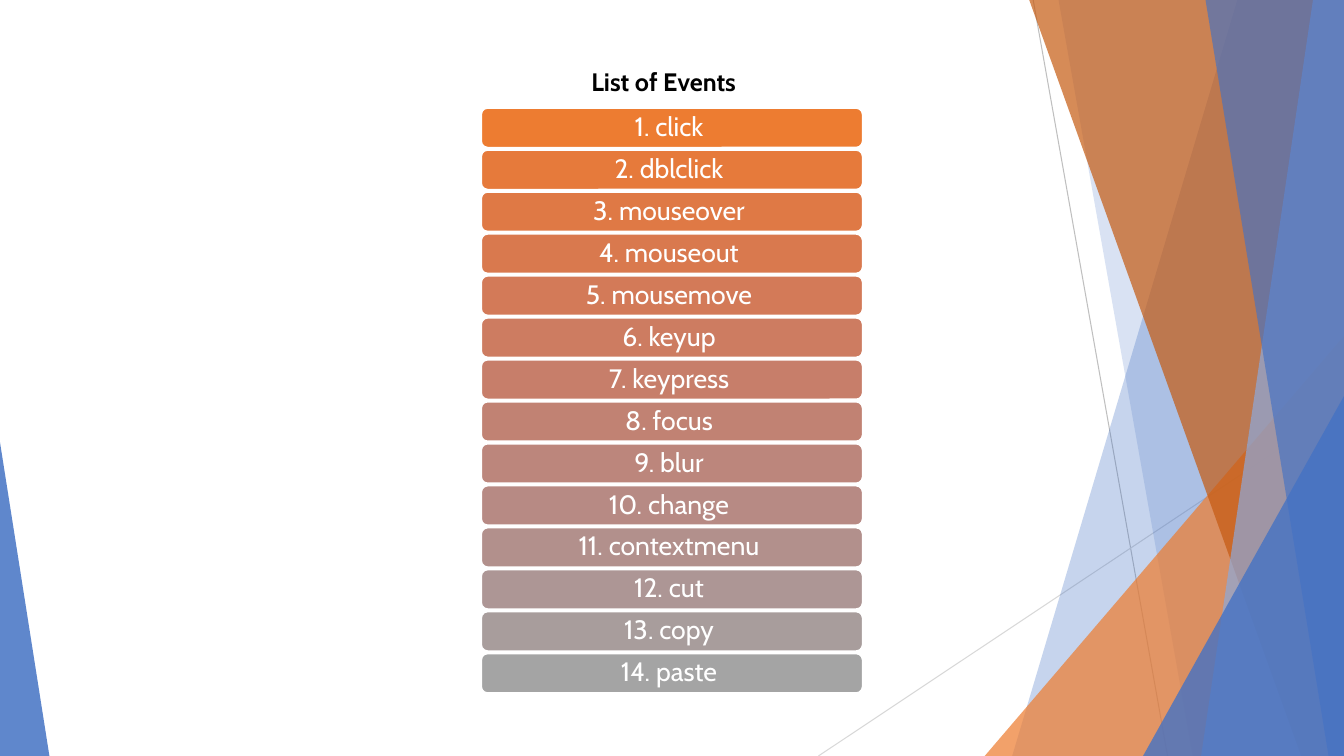
from colorsys import hls_to_rgb

from lxml import etree
from pptx import Presentation
from pptx.dml.color import RGBColor
from pptx.enum.shapes import MSO_CONNECTOR as CONN, MSO_SHAPE as SHAPE
from pptx.enum.text import MSO_ANCHOR as ANCHOR, PP_ALIGN as ALIGN
from pptx.oxml.ns import qn
from pptx.util import Pt

# Content
TITLE = "List of Events"
EVENTS = ["click", "dblclick", "mouseover", "mouseout", "mousemove", "keyup",
          "keypress", "focus", "blur", "change", "contextmenu", "cut", "copy",
          "paste"]

W, H = 960, 540
FONT = "Cabin"
COLORS = {"white": "FFFFFF", "black": "000000", "blue": "4472C4",
          "light blue": "8DA9DB", "orange": "ED7D31", "rust": "C55A11",
          "gray": "BFBFBF", "pale gray": "D8D8D8"}

# Background: x1, y1, x2, y2, colour
RAYS = [(738, 0, 834, H, "gray"), (W, 290, 584.6, H, "pale gray")]

# Background, back to front; bands run from the slanted edge to the right side
# band: top x, bottom x; triangle: left, top, width, apex position
FACETS = [("band", (884, 723), "blue", 30),
          ("band", (756, 852), "blue", 20),
          ("triangle", (703.4, 240, 256.6, 1), "orange", 72),
          ("band", (735, 929.5), "rust", 70),
          ("band", (938, 858), "light blue", 70),
          ("band", (861, 949), "blue", 65),
          ("triangle", (816.5, 283, 143.5, 1), "blue", 80),
          ("triangle", (0, 316, 35.3, 0), "blue", 85)]

# Event bars, fading from saturated orange to gray
BAR = {"left": 343.6, "top": 77, "width": 272.8, "height": 28.6, "pitch": 29.97}
HUE, SATURATION, LIGHTNESS = (0.067, 0), (0.84, 0), (0.56, 0.643)


def rgb(name):
    return RGBColor.from_string(COLORS[name])


def blend(ends, t):
    return ends[0] + (ends[1] - ends[0]) * t


def set_all(obj, values):
    for name, value in values.items():
        setattr(obj, name, value)


def write(sp, text, frame, para, size, color, bold=False):
    tf = sp.text_frame
    set_all(tf, frame)
    p = tf.paragraphs[0]
    set_all(p, para)
    r = p.add_run()
    r.text = text
    set_all(r.font, {"name": FONT, "size": Pt(size), "bold": bold})
    r.font.color.rgb = rgb(color)


def add_band(shapes, top_x, bottom_x):
    fb = shapes.build_freeform(Pt(top_x), Pt(-0.6))
    corners = [(W, -0.6), (W, H), (bottom_x, H)]
    fb.add_line_segments([(Pt(x), Pt(y)) for x, y in corners], close=True)
    return fb.convert_to_shape()


def add_triangle(shapes, left, top, width, apex):
    sp = shapes.add_shape(SHAPE.ISOSCELES_TRIANGLE, Pt(left), Pt(top),
                          Pt(width), Pt(H - top))
    sp.adjustments[0] = apex
    return sp


def add_background(shapes):
    for x1, y1, x2, y2, color in RAYS:
        ray = shapes.add_connector(CONN.STRAIGHT, Pt(x1), Pt(y1), Pt(x2), Pt(y2))
        ray.line.color.rgb = rgb(color)
        ray.line.width = Pt(0.75)
        etree.SubElement(ray._element.spPr, qn("a:effectLst"))
    builders = {"band": add_band, "triangle": add_triangle}
    for kind, place, color, opacity in FACETS:
        sp = builders[kind](shapes, *place)
        sp.shadow.inherit = False
        sp.line.fill.background()
        sp.fill.solid()
        sp.fill.fore_color.rgb = rgb(color)
        clr = sp._element.spPr.find(qn("a:solidFill"))[0]
        etree.SubElement(clr, qn("a:alpha"), val=str(opacity * 1000))


def add_bars(shapes):
    frame = {"word_wrap": True, "vertical_anchor": ANCHOR.MIDDLE,
             "margin_left": Pt(7.2), "margin_right": Pt(7.2),
             "margin_top": Pt(4.2), "margin_bottom": Pt(4.2)}
    para = {"alignment": ALIGN.CENTER, "line_spacing": 0.9}
    for i, event in enumerate(EVENTS):
        t = i / (len(EVENTS) - 1)
        sp = shapes.add_shape(SHAPE.ROUNDED_RECTANGLE, Pt(BAR["left"]),
                              Pt(BAR["top"] + i * BAR["pitch"]),
                              Pt(BAR["width"]), Pt(BAR["height"]))
        sp.shadow.inherit = False
        sp.fill.solid()
        shade = hls_to_rgb(blend(HUE, t), blend(LIGHTNESS, t),
                           blend(SATURATION, t))
        sp.fill.fore_color.rgb = RGBColor(*(round(c * 255) for c in shade))
        sp.line.color.rgb = rgb("white")
        sp.line.width = Pt(1.5)
        write(sp, f"{i + 1}. {event} ", frame, para, 19, "white")


def main():
    prs = Presentation()
    set_all(prs, {"slide_width": Pt(W), "slide_height": Pt(H)})
    s = prs.slides.add_slide(prs.slide_layouts[6])
    add_background(s.shapes)
    add_bars(s.shapes)
    # Heading above the bars
    box = s.shapes.add_textbox(Pt(415.4), Pt(44), Pt(134.6), Pt(29))
    write(box, TITLE, {"word_wrap": True}, {}, 18, "black", bold=True)
    prs.save("out.pptx")


if __name__ == "__main__":
    main()
